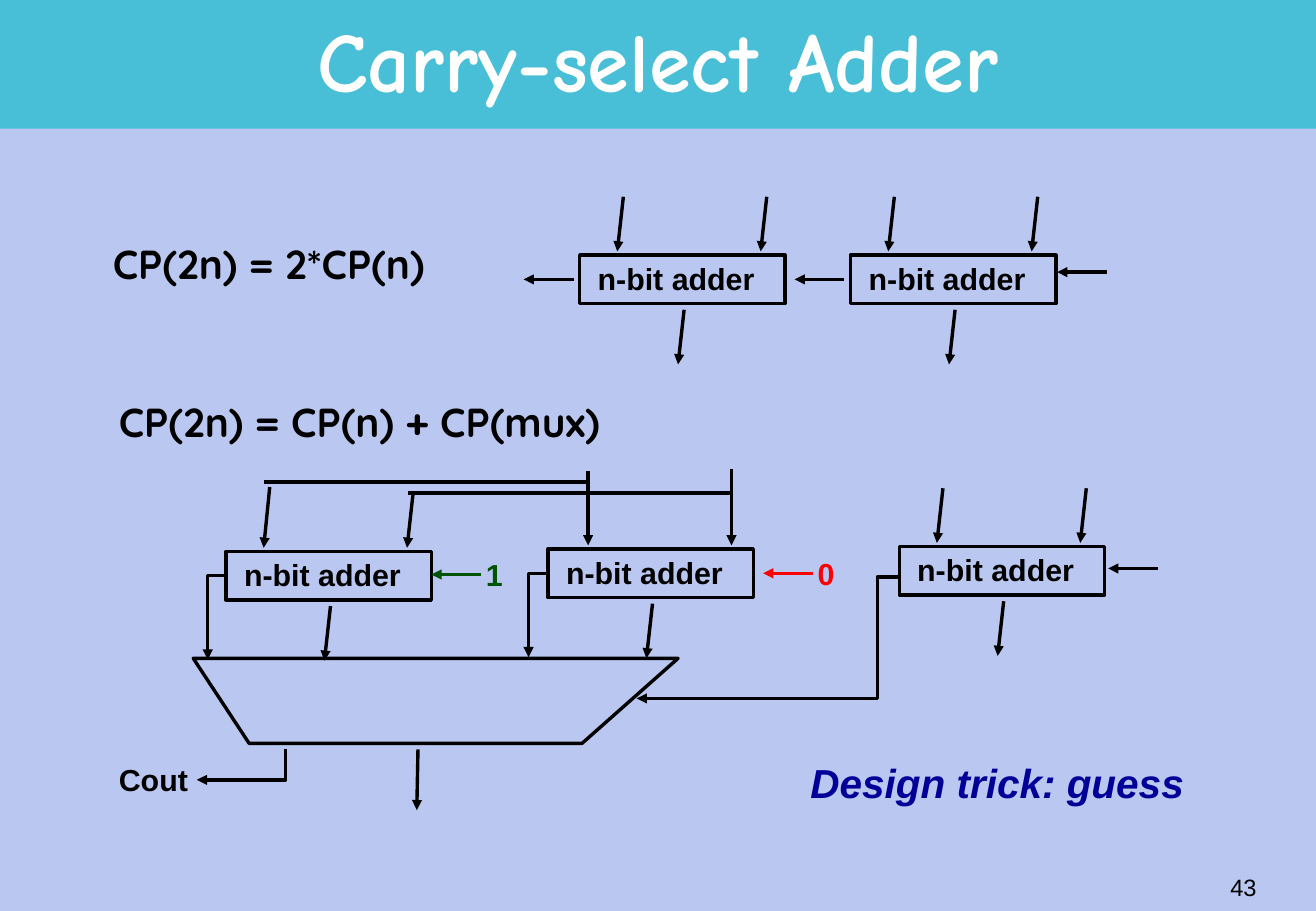
import pptx
import pptx.util
import pptx.dml.color
import pptx.enum.shapes
import pptx.enum.text
import pptx.oxml
import pptx.oxml.ns

Inches = pptx.util.Inches
RGBColor = pptx.dml.color.RGBColor
MSO_SHAPE = pptx.enum.shapes.MSO_SHAPE
PP_ALIGN = pptx.enum.text.PP_ALIGN

PAGE_WIDTH, PAGE_HEIGHT = 10.83, 7.5
BACKGROUND = RGBColor(0xBA, 0xC8, 0xF1)
BAND = RGBColor(0x49, 0xBF, 0xD7)
BLACK = RGBColor(0, 0, 0)
WHITE = RGBColor(0xFF, 0xFF, 0xFF)
GREEN = RGBColor(0, 0x54, 0)
RED = RGBColor(0xFF, 0, 0)
NAVY = RGBColor(0, 0, 0x99)
LINE_WIDTH = pptx.util.Pt(2)


def add_text(page, text, left, top, width, height=0.4, *, size=18, font="Arial",
             color=BLACK, bold=True, italic=False, align=PP_ALIGN.LEFT,
             middle=False, wrap=False, spacing=None):
    box = page.shapes.add_textbox(Inches(left), Inches(top), Inches(width), Inches(height))
    frame = box.text_frame
    frame.word_wrap = wrap
    if middle:
        frame.vertical_anchor = pptx.enum.text.MSO_ANCHOR.MIDDLE
    para = frame.paragraphs[0]
    para.alignment = align
    para.line_spacing = spacing
    span = para.add_run()
    span.text = text
    span.font.name = font
    span.font.size = pptx.util.Pt(size)
    span.font.bold = bold
    span.font.italic = italic
    span.font.color.rgb = color


def style_line(shape, color=BLACK, arrow=False):
    shape.line.color.rgb = color
    shape.line.width = LINE_WIDTH
    if arrow:
        tail = pptx.oxml.parse_xml(
            '<a:tailEnd %s type="triangle"/>' % pptx.oxml.ns.nsdecls("a"))
        shape.line._get_or_add_ln().append(tail)


def add_line(page, start, end, color=BLACK, arrow=True):
    line = page.shapes.add_connector(
        pptx.enum.shapes.MSO_CONNECTOR.STRAIGHT, *map(Inches, (*start, *end)))
    style_line(line, color, arrow)
    line._element.spPr.append(pptx.oxml.parse_xml(
        "<a:effectLst %s/>" % pptx.oxml.ns.nsdecls("a")))


def add_outline(page, points, closed=False):
    """Draw a closed polygon, or an open bent wire that ends in an arrow."""
    corners = [(Inches(x), Inches(y)) for x, y in points]
    builder = page.shapes.build_freeform(*corners[0])
    builder.add_line_segments(corners[1:], close=closed)
    shape = builder.convert_to_shape()
    shape.shadow.inherit = False
    shape.fill.background()
    style_line(shape, arrow=not closed)


def add_adder(page, left, top, rises=(0.48, 0.48), slant=0.05, port=0.31):
    """Draw an adder box with two input arrows and one sum arrow."""
    box = page.shapes.add_shape(
        MSO_SHAPE.RECTANGLE, Inches(left), Inches(top), Inches(1.69), Inches(0.4))
    box.shadow.inherit = False
    box.fill.background()
    style_line(box)
    add_text(page, "n-bit adder", left + 0.05, top - 0.01, 1.61)
    for index, rise in enumerate(rises):
        x = left + port + index * 1.18
        add_line(page, (x + slant, top - rise), (x, top - 0.03))
    add_line(page, (left + 0.86, top + 0.45), (left + 0.81, top + 0.9))


def add_carry(page, left, y, color=BLACK):
    """Draw a carry arrow that points left."""
    add_line(page, (left + 0.41, y), (left, y), color)


def add_title(page, left, top, width, height):
    band = page.shapes.add_shape(
        MSO_SHAPE.RECTANGLE, Inches(left), Inches(top), Inches(width), Inches(height))
    band.shadow.inherit = False
    band.fill.solid()
    band.fill.fore_color.rgb = BAND
    band.line.fill.background()
    add_text(page, "Carry-select Adder", left + 0.81, top + 0.05, 9.21, 0.99,
             size=50, font="Comic Neue", color=WHITE, align=PP_ALIGN.CENTER,
             middle=True, wrap=True, spacing=0.85)


def add_ripple_adder(page, left, top):
    # Two chained adders, each with its carry out
    for index in range(2):
        x = left + index * 2.23
        add_adder(page, x + 0.46, top + 0.48)
        add_carry(page, x, top + 0.68)
    # Carry in
    add_carry(page, left + 4.39, top + 0.62)


def add_select_adder(page, left, top):
    def place(*points):
        return [(left + x, top + y) for x, y in points]

    # Adders for carry 1, carry 0 and the low half
    add_adder(page, left + 0.98, top + 0.68, rises=(0.53, 0.48))
    add_adder(page, left + 3.63, top + 0.66, rises=(0.64, 0.66), slant=0, port=0.33)
    add_adder(page, left + 6.52, top + 0.64)

    # Inputs shared by the two upper-half adders
    for start, end, y in ((3.97, 1.29, 0.11), (5.15, 2.48, 0.2)):
        add_line(page, *place((start, y), (end, y)), arrow=False)

    # Carries in
    for digit, x, y, color in (("1", 2.67, 0.87, GREEN), ("0", 5.4, 0.86, RED)):
        add_carry(page, left + x, top + y, color)
        add_text(page, digit, left + x + 0.35, top + y - 0.2, 0.36, color=color)
    add_carry(page, left + 8.24, top + 0.82)

    # Carries out to the multiplexer, and its select wire
    for x, y in ((0.97, 0.88), (3.61, 0.86)):
        add_outline(page, place((x, y), (x - 0.14, y), (x - 0.14, y + 0.69)))
    add_outline(page, place((6.52, 0.89), (6.34, 0.89), (6.34, 1.89), (4.36, 1.89)))

    # Multiplexer with its outputs
    add_outline(page, place((0.71, 1.56), (4.7, 1.56), (3.91, 2.26), (1.17, 2.26)),
                closed=True)
    add_line(page, *place((2.56, 2.31), (2.55, 2.81)))
    add_outline(page, place((1.47, 2.31), (1.47, 2.56), (0.74, 2.56)))
    add_text(page, "Cout", left, top + 2.36, 0.77)


def main():
    deck = pptx.Presentation()
    deck.slide_width, deck.slide_height = Inches(PAGE_WIDTH), Inches(PAGE_HEIGHT)
    page = deck.slides.add_slide(deck.slide_layouts[6])
    page.background.fill.solid()
    page.background.fill.fore_color.rgb = BACKGROUND

    add_title(page, 0, 0, PAGE_WIDTH, 1.06)
    add_ripple_adder(page, 4.31, 1.62)
    add_select_adder(page, 0.88, 3.86)

    # Critical paths, remark and page number
    add_text(page, "CP(2n) = 2*CP(n)", 0.83, 1.92, 3.15, 0.5, size=24, font="Quicksand")
    add_text(page, "CP(2n) = CP(n) + CP(mux)", 0.88, 3.22, 4.73, 0.5,
             size=24, font="Quicksand")
    add_text(page, "Design trick: guess", 6.57, 6.19, 3.55, 0.5,
             size=24, color=NAVY, italic=True)
    add_text(page, "43", 8.18, 7.05, 2.26, 0.5, size=14, bold=False,
             align=PP_ALIGN.RIGHT, middle=True, wrap=True)

    deck.save("out.pptx")


if __name__ == "__main__":
    main()
